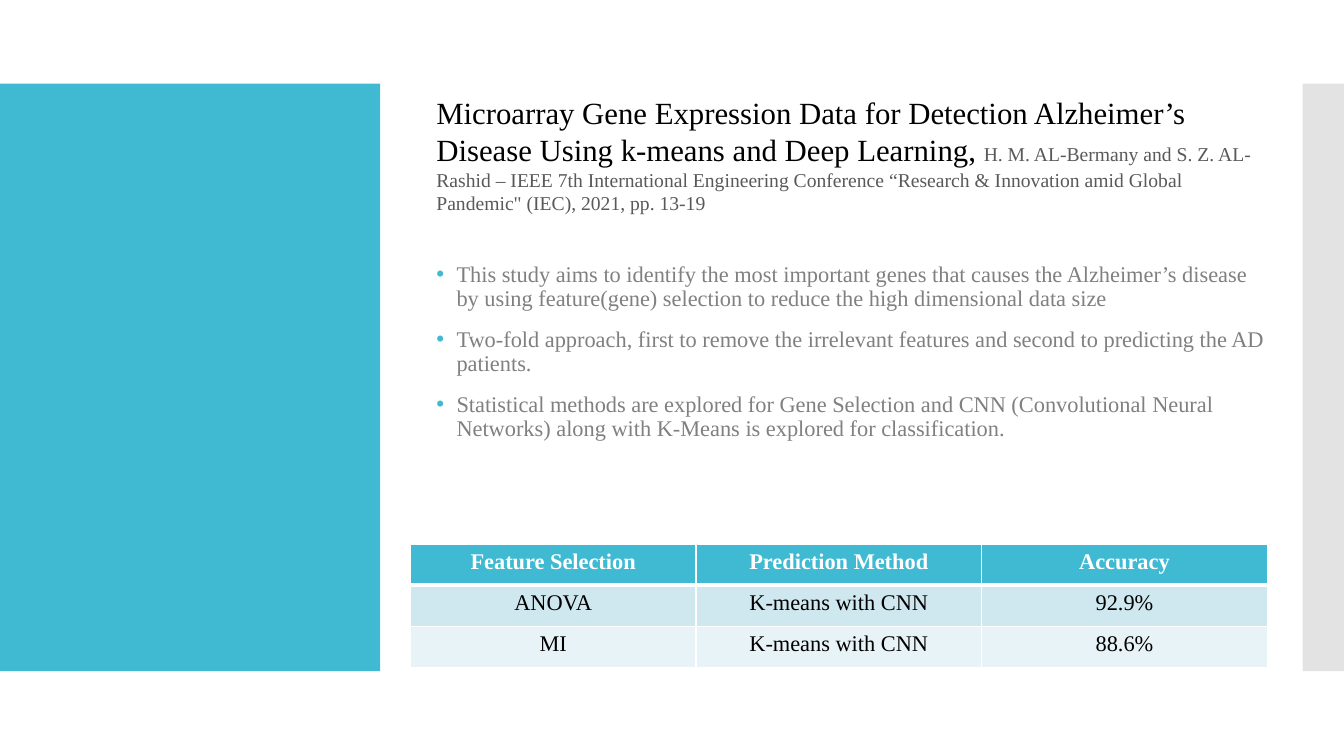
from dataclasses import dataclass

from lxml import etree
from pptx import Presentation
from pptx import util as u
from pptx.dml.color import RGBColor
from pptx.enum import shapes, text
from pptx.oxml import ns


@dataclass(frozen=True)
class Theme:
    font: str = "Times New Roman"
    accent: str = "40BAD2"
    side: str = "C8C8C8"
    title: str = "000000"
    citation: str = "595959"
    body: str = "808080"
    white: str = "FFFFFF"
    bands: tuple = ("CFE7EE", "E8F3F7")
    title_size: int = 22
    body_size: int = 16
    citation_size: int = 14


class SlideBuilder:
    def __init__(self, slide, theme):
        self.slide = slide
        self.theme = theme

    def add_run(self, paragraph, words, size, color, bold=False):
        run = paragraph.add_run()
        run.text = words
        run.font.name = self.theme.font
        run.font.size = u.Pt(size)
        run.font.bold = bold
        run.font.color.rgb = RGBColor.from_string(color)

    def add_panel(self, left, width, color, opacity=100):
        panel = self.slide.shapes.add_shape(
            shapes.MSO_SHAPE.RECTANGLE,
            u.Inches(left), u.Inches(0.83), u.Inches(width), u.Inches(5.83))
        panel.shadow.inherit = False
        panel.line.fill.background()
        panel.fill.solid()
        panel.fill.fore_color.rgb = RGBColor.from_string(color)
        if opacity < 100:
            fill_color = panel.element.spPr.find(".//" + ns.qn("a:srgbClr"))
            etree.SubElement(fill_color, ns.qn("a:alpha"), val=str(opacity * 1000))

    def add_text_frame(self, top, height):
        box = self.slide.shapes.add_textbox(
            u.Inches(4.23), u.Inches(top), u.Inches(8.5), u.Inches(height))
        box.text_frame.word_wrap = True
        return box.text_frame

    def add_title(self, title, citation):
        paragraph = self.add_text_frame(0.88, 1.31).paragraphs[0]
        self.add_run(paragraph, title, self.theme.title_size, self.theme.title)
        self.add_run(paragraph, citation, self.theme.citation_size, self.theme.citation)

    def add_bullets(self, points):
        frame = self.add_text_frame(2.56, 4.42)
        for index, point in enumerate(points):
            paragraph = frame.add_paragraph() if index else frame.paragraphs[0]
            paragraph.line_spacing = 0.9
            paragraph.space_before = u.Pt(12 if index else 0)
            properties = paragraph._p.get_or_add_pPr()
            properties.set("marL", str(u.Inches(0.2)))
            properties.set("indent", str(u.Inches(-0.2)))
            bullet_color = etree.SubElement(properties, ns.qn("a:buClr"))
            etree.SubElement(bullet_color, ns.qn("a:srgbClr"), val=self.theme.accent)
            etree.SubElement(properties, ns.qn("a:buFont"), typeface="Arial")
            etree.SubElement(properties, ns.qn("a:buChar"), char="•")
            self.add_run(paragraph, point, self.theme.body_size, self.theme.body)

    def set_borders(self, cell, top, bottom):
        properties = cell._tc.get_or_add_tcPr()
        widths = {"lnL": 1, "lnR": 1, "lnT": top, "lnB": bottom}
        for index, (side, width) in enumerate(widths.items()):
            line = etree.Element(ns.qn("a:" + side), w=str(u.Pt(width)))
            fill = etree.SubElement(line, ns.qn("a:solidFill"))
            etree.SubElement(fill, ns.qn("a:srgbClr"), val=self.theme.white)
            properties.insert(index, line)

    def add_table(self, rows):
        table = self.slide.shapes.add_table(
            len(rows), len(rows[0]),
            u.Inches(4.07), u.Inches(5.4), u.Inches(8.5), u.Inches(1.22)).table
        for row_index, row in enumerate(rows):
            header = row_index == 0
            fill = self.theme.accent if header else self.theme.bands[row_index - 1]
            color = self.theme.white if header else self.theme.title
            for column_index, words in enumerate(row):
                cell = table.cell(row_index, column_index)
                cell.fill.solid()
                cell.fill.fore_color.rgb = RGBColor.from_string(fill)
                self.set_borders(cell, 3 if row_index == 1 else 1, 3 if header else 1)
                paragraph = cell.text_frame.paragraphs[0]
                paragraph.alignment = text.PP_ALIGN.CENTER
                self.add_run(paragraph, words, self.theme.body_size, color, header)


def main():
    presentation = Presentation()
    presentation.slide_width = u.Inches(13.33)
    presentation.slide_height = u.Inches(7.5)
    slide = presentation.slides.add_slide(presentation.slide_layouts[6])
    theme = Theme()
    builder = SlideBuilder(slide, theme)

    builder.add_panel(0, 3.77, theme.accent)
    builder.add_panel(12.92, 0.41, theme.side, opacity=50)
    builder.add_bullets([
        "This study aims to identify the most important genes that causes the "
        "Alzheimer’s disease by using feature(gene) selection to reduce the high "
        "dimensional data size",
        "Two-fold approach, first to remove the irrelevant features and second to "
        "predicting the AD patients.",
        "Statistical methods are explored for Gene Selection and CNN (Convolutional "
        "Neural Networks) along with K-Means is explored for classification.",
    ])
    builder.add_title(
        "Microarray Gene Expression Data for Detection Alzheimer’s Disease Using "
        "k-means and Deep Learning, ",
        "H. M. AL-Bermany and S. Z. AL-Rashid – IEEE 7th International Engineering "
        "Conference “Research & Innovation amid Global Pandemic\" (IEC), 2021, pp. 13-19")
    builder.add_table([
        ("Feature Selection", "Prediction Method", "Accuracy"),
        ("ANOVA", "K-means with CNN", "92.9%"),
        ("MI", "K-means with CNN", "88.6%"),
    ])
    presentation.save("out.pptx")


if __name__ == "__main__":
    main()
